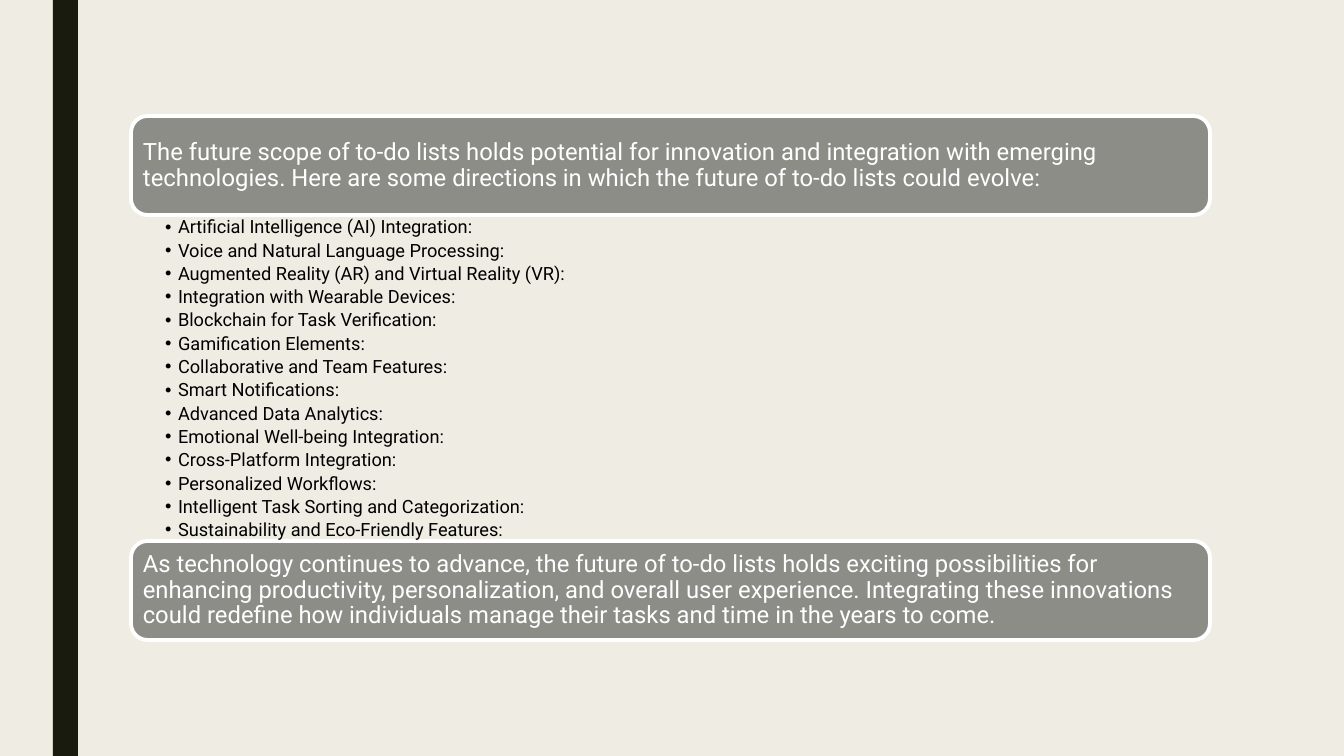
from dataclasses import dataclass

from lxml.etree import SubElement
from pptx import Presentation
from pptx.dml.color import RGBColor as Color
from pptx.enum.shapes import MSO_SHAPE as Preset
from pptx.enum.text import MSO_ANCHOR as Anchor, MSO_AUTO_SIZE as AutoSize, PP_ALIGN as Align
from pptx.oxml.ns import qn
from pptx.util import Emu, Pt

EMU_PER_PIXEL = 914400 / 100.8


@dataclass(frozen=True)
class Theme:
    font: str = "Roboto"
    background: Color = Color(0xEF, 0xED, 0xE3)
    stripe: Color = Color(0x19, 0x1B, 0x0E)
    panel: Color = Color(0x8C, 0x8D, 0x86)
    light: Color = Color(0xFF, 0xFF, 0xFF)
    dark: Color = Color(0, 0, 0)
    panel_size: int = 17
    list_size: int = 13
    list_gap: float = 2.58
    border: float = 2.75


THEME = Theme()

INTRO = ("The future scope of to-do lists holds potential for innovation and integration "
         "with emerging technologies. Here are some directions in which the future of "
         "to-do lists could evolve:")
DIRECTIONS = [
    "Artificial Intelligence (AI) Integration:",
    "Voice and Natural Language Processing:",
    "Augmented Reality (AR) and Virtual Reality (VR):",
    "Integration with Wearable Devices:",
    "Blockchain for Task Verification:",
    "Gamification Elements:",
    "Collaborative and Team Features:",
    "Smart Notifications:",
    "Advanced Data Analytics:",
    "Emotional Well-being Integration:",
    "Cross-Platform Integration:",
    "Personalized Workflows:",
    "Intelligent Task Sorting and Categorization:",
    "Sustainability and Eco-Friendly Features:",
]
CLOSING = ("As technology continues to advance, the future of to-do lists holds exciting "
           "possibilities for enhancing productivity, personalization, and overall user "
           "experience. Integrating these innovations could redefine how individuals manage "
           "their tasks and time in the years to come.")

# Layout in pixels
PAGE_WIDTH, PAGE_HEIGHT = 1344, 756
LEFT, WIDTH = 131, 1079
PANEL_HEIGHT, LIST_HEIGHT = 99, 326
INTRO_TOP = 116
LIST_TOP = INTRO_TOP + PANEL_HEIGHT
CLOSING_TOP = LIST_TOP + LIST_HEIGHT
BULLET_INDENT = 13
TITLE_INSET = 12
PANEL_INSET = 7  # the rounded corners add the rest


def px(pixels):
    return Emu(round(pixels * EMU_PER_PIXEL))


def set_all(target, values):
    for name, value in values.items():
        setattr(target, name, value)


def place(box, left, top, width, height):
    set_all(box, {"left": px(left), "top": px(top), "width": px(width), "height": px(height)})


def add_block(page, preset, area, color, border=None):
    block = page.shapes.add_shape(preset, *map(px, area))
    block.shadow.inherit = False
    block.fill.solid()
    block.fill.fore_color.rgb = color
    if border:
        block.line.color.rgb = border
        block.line.width = Pt(THEME.border)
    else:
        block.line.fill.background()
    return block


def write_text(box, lines, size, color, insets, anchor, space_after=0):
    frame = box.text_frame
    left, top, right, bottom = map(px, insets)
    set_all(frame, {"word_wrap": True, "auto_size": AutoSize.NONE, "vertical_anchor": anchor,
                    "margin_left": left, "margin_top": top,
                    "margin_right": right, "margin_bottom": bottom})
    frame.text = "\n".join(lines)
    for para in frame.paragraphs:
        set_all(para, {"alignment": Align.LEFT, "line_spacing": 0.9,
                       "space_before": Pt(0), "space_after": Pt(space_after)})
        for span in para.runs:
            set_all(span.font, {"name": THEME.font, "size": Pt(size), "bold": False})
            span.font.color.rgb = color


def write_panel(box, text, inset):
    write_text(box, [text], THEME.panel_size, THEME.light, [inset] * 4, Anchor.MIDDLE)


def add_bullets(box):
    for para in box.text_frame.paragraphs:
        props = para._p.get_or_add_pPr()
        props.set("marL", str(px(BULLET_INDENT)))
        props.set("indent", str(-px(BULLET_INDENT)))
        SubElement(props, qn("a:buChar")).set("char", "•")


def main():
    deck = Presentation()
    deck.slide_width, deck.slide_height = px(PAGE_WIDTH), px(PAGE_HEIGHT)
    page = deck.slides.add_slide(deck.slide_layouts[1])
    title, body = page.placeholders

    # Background and side stripe
    page.background.fill.solid()
    page.background.fill.fore_color.rgb = THEME.background
    add_block(page, Preset.RECTANGLE, (53, 0, 25, PAGE_HEIGHT), THEME.stripe)

    # Rounded panels
    intro_panel, closing_panel = [
        add_block(page, Preset.ROUNDED_RECTANGLE, (LEFT, top, WIDTH, PANEL_HEIGHT),
                  THEME.panel, THEME.light)
        for top in (INTRO_TOP, CLOSING_TOP)]
    write_panel(closing_panel, CLOSING, PANEL_INSET)

    # Introduction, in front of its panel
    place(title, LEFT, INTRO_TOP, WIDTH, PANEL_HEIGHT)
    write_panel(title, INTRO, TITLE_INSET)
    intro_panel._element.addnext(title._element)

    # List of directions, in front of both panels
    place(body, LEFT, LIST_TOP, WIDTH, LIST_HEIGHT)
    write_text(body, DIRECTIONS, THEME.list_size, THEME.dark, (34, 3, 13, 2),
               Anchor.TOP, THEME.list_gap)
    add_bullets(body)
    closing_panel._element.addnext(body._element)

    deck.save("out.pptx")


main()
